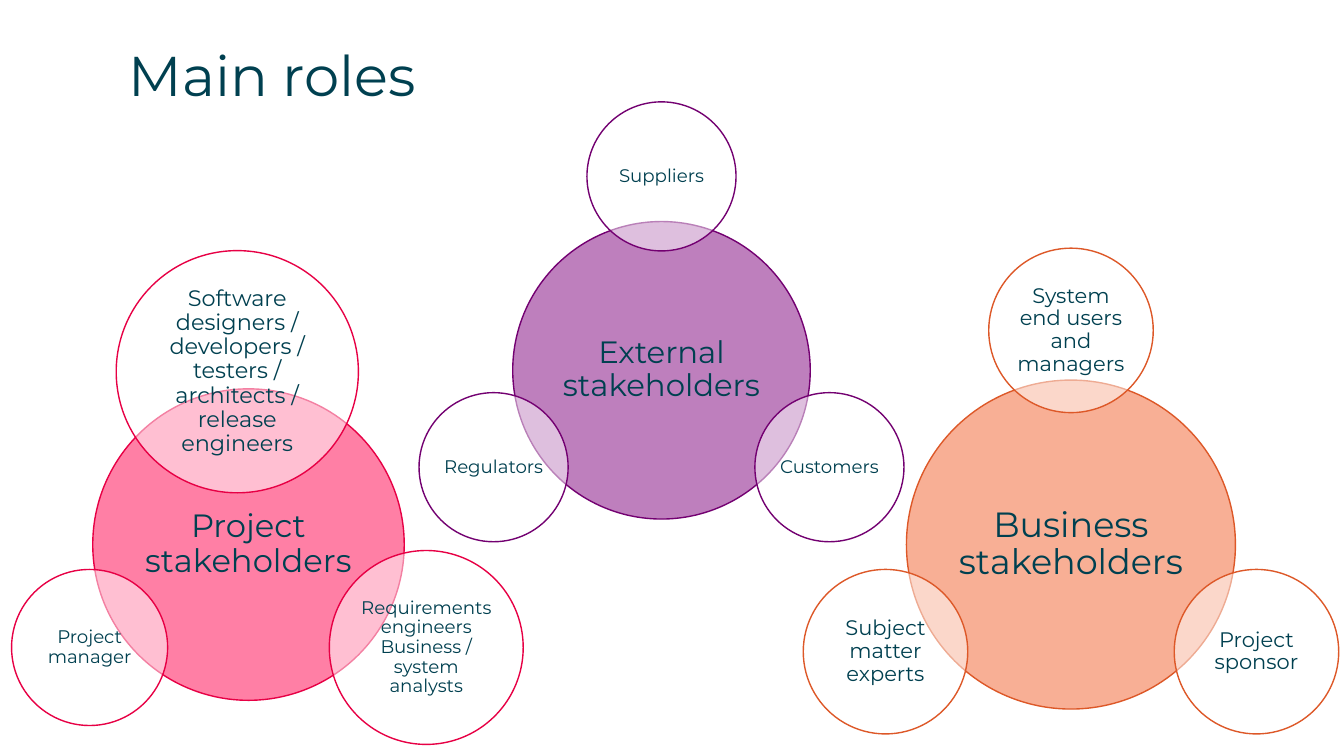
from math import cos, radians, sin

from lxml import etree
from pptx import Presentation
from pptx.dml.color import RGBColor
from pptx.enum import shapes, text
from pptx.oxml import ns
from pptx.util import Pt

FONT = "Montserrat"
INK = "004050"
WHITE = "FFFFFF"


def color(hex_string):
    return RGBColor.from_string(hex_string)


def style_text(paragraph, size, alignment):
    paragraph.alignment = alignment
    for run in paragraph.runs:
        run.font.name = FONT
        run.font.size = Pt(size)
        run.font.color.rgb = color(INK)


def set_margins(frame, margin):
    frame.margin_left = frame.margin_right = Pt(margin)
    frame.margin_top = frame.margin_bottom = Pt(margin)


def fill_half_transparent(shape, hex_string):
    shape.fill.solid()
    shape.fill.fore_color.rgb = color(hex_string)
    rgb = shape.fill._xPr.find(ns.qn("a:solidFill")).find(ns.qn("a:srgbClr"))
    etree.SubElement(rgb, ns.qn("a:alpha"), val="50000")


def add_title(slide, wording):
    title = slide.shapes.title
    title.left, title.top, title.width, title.height = Pt(92), Pt(26), Pt(236), Pt(54)
    frame = title.text_frame
    frame.text = wording
    frame.vertical_anchor = text.MSO_ANCHOR.MIDDLE
    set_margins(frame, 0)
    style_text(frame.paragraphs[0], 40, text.PP_ALIGN.LEFT)


def add_circle(group, center, diameter, wording, size, fill, line, margin=1.5):
    x, y = center
    circle = group.shapes.add_shape(
        shapes.MSO_SHAPE.OVAL,
        Pt(x - diameter / 2), Pt(y - diameter / 2), Pt(diameter), Pt(diameter))
    circle.shadow.inherit = False
    fill_half_transparent(circle, fill)
    circle.line.color.rgb = color(line)
    circle.line.width = Pt(1)
    frame = circle.text_frame
    frame.text = wording
    frame.word_wrap = True
    frame.vertical_anchor = text.MSO_ANCHOR.MIDDLE
    set_margins(frame, margin)
    paragraph = frame.paragraphs[0]
    paragraph.line_spacing = 0.9
    style_text(paragraph, size, text.PP_ALIGN.CENTER)


def ring(roles, size, diameter, distance):
    """Space equal satellites evenly around a hub, clockwise from the top."""
    satellites = []
    for index, role in enumerate(roles):
        angle = radians(360 * index / len(roles) - 90)
        satellites.append(
            (role, size, diameter, distance * cos(angle), distance * sin(angle)))
    return satellites


def add_cluster(slide, hub, center, diameter, size, fill, line, satellites):
    """Draw a hub circle and its satellites: (role, size, diameter, dx, dy)."""
    group = slide.shapes.add_group_shape()
    add_circle(group, center, diameter, hub, size, fill, line, margin=2)
    for role, role_size, role_diameter, dx, dy in satellites:
        role_center = (center[0] + dx, center[1] + dy)
        add_circle(group, role_center, role_diameter, role, role_size, WHITE, line)


def main():
    presentation = Presentation()
    presentation.slide_width, presentation.slide_height = Pt(960), Pt(540)
    slide = presentation.slides.add_slide(presentation.slide_layouts[5])
    add_title(slide, "Main roles")

    business_roles = ring(
        ["System end users and managers", "Project sponsor", "Subject matter experts"],
        size=15, diameter=117.5, distance=153)
    project_roles = [
        ("Project manager", 13, 111.5, -113.5, 73.5),
        ("Requirements engineers\vBusiness / system analysts", 13, 138.5, 127, 73.5),
        ("Software designers / developers / testers / architects / release engineers",
         16, 173, -8, -123.5),
    ]
    external_roles = ring(
        ["Suppliers", "Customers", "Regulators"],
        size=13, diameter=106.5, distance=138.5)

    add_cluster(slide, "Business stakeholders", (765, 389), 235, 25,
                "F3612C", "DD5828", business_roles)
    add_cluster(slide, "Project stakeholders", (177.5, 389), 222.5, 23,
                "FF004C", "E70045", project_roles)
    add_cluster(slide, "External stakeholders", (472.5, 264.5), 212.5, 22,
                "7F007D", "730071", external_roles)

    presentation.save("out.pptx")


if __name__ == "__main__":
    main()
